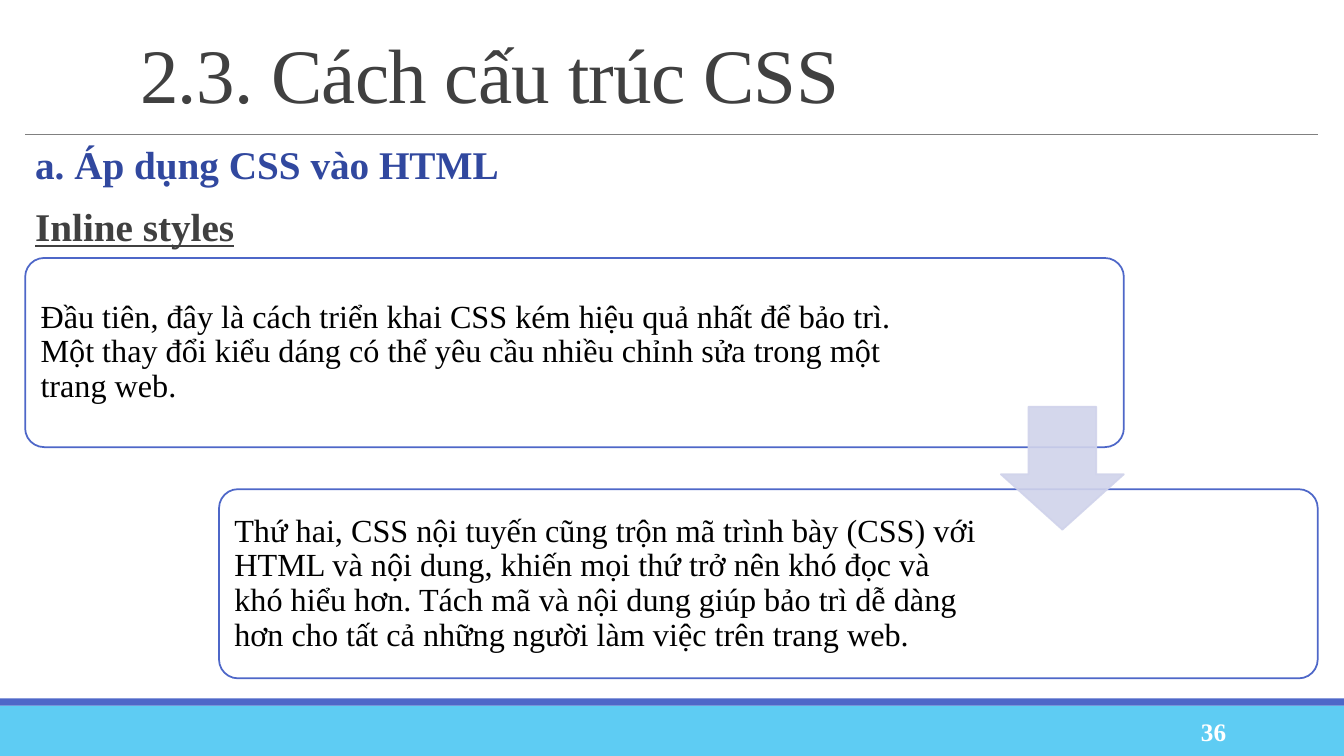
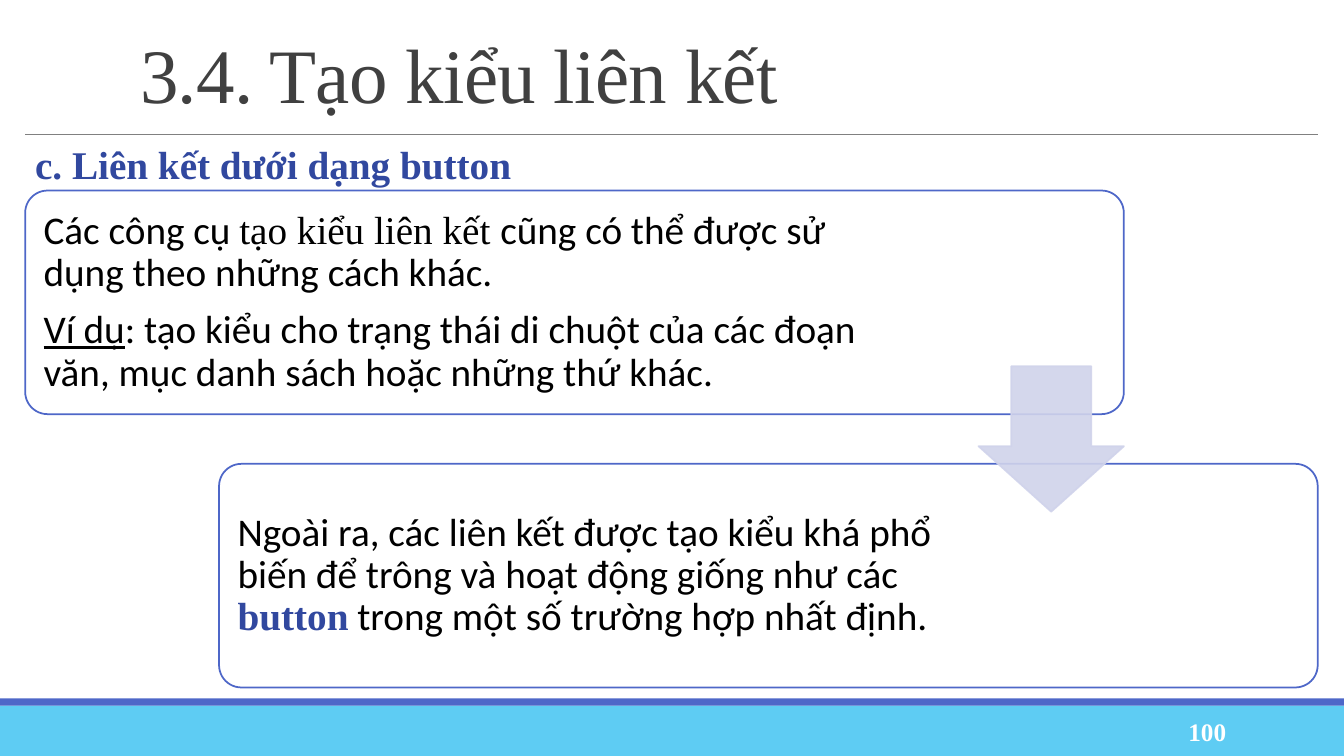
from dataclasses import dataclass

from lxml.etree import SubElement
from pptx import Presentation
from pptx.dml.color import RGBColor
from pptx.enum.shapes import MSO_CONNECTOR as Link, MSO_SHAPE as Form
from pptx.enum.text import MSO_ANCHOR as Anchor, PP_ALIGN as Align
from pptx.oxml.ns import qn
from pptx.util import Inches, Pt


@dataclass(frozen=True)
class Theme:
    serif: str = "Times New Roman"
    sans: str = "Calibri"
    dark: str = "404040"
    navy: str = "31489F"
    blue: str = "4E67C8"
    sky: str = "5ECCF3"
    pale: str = "D0D3EB"
    rule: str = "808080"
    white: str = "FFFFFF"
    black: str = "000000"
    title: int = 55
    head: int = 28
    page: int = 18
    edge: float = 1.25


@dataclass(frozen=True)
class Box:
    x: float
    y: float
    w: float
    h: float

    def slice(self, x, y, w, h):
        return Box(self.x + x * self.w, self.y + y * self.h, w * self.w, h * self.h)

    def place(self):
        return [Inches(v) for v in (self.x, self.y, self.w, self.h)]


@dataclass(frozen=True)
class Span:
    text: str
    font: str = Theme.serif
    color: str = Theme.black
    bold: bool = False
    under: bool = False


T = Theme()
PAGE = Box(0, 0, 13.33, 7.5)
SIDE = 0.25
WIDE = PAGE.w - 2 * SIDE - 0.01
BAND = Box(0, 7, PAGE.w, 0.5)
STRIP = Box(0, 6.93, PAGE.w, 0.07)
TITLE = Box(1.29, 0.31, 11.78, 0.96)
BODY = Box(SIDE, 1.4, WIDE, 5.34)
NUMBER = Box(10.83, 7.06, 1.43, 0.4)
RULE = 1.33


def paint(slide, form, box, fill, line=None, adjust=()):
    shape = slide.shapes.add_shape(form, *box.place())
    shape.shadow.inherit = False
    for i, value in enumerate(adjust):
        shape.adjustments[i] = value
    shape.fill.solid()
    shape.fill.fore_color.rgb = RGBColor.from_string(fill)
    if line:
        shape.line.color.rgb = RGBColor.from_string(line)
        shape.line.width = Pt(T.edge)
    else:
        shape.line.fill.background()
    return shape


def write(slide, box, paras, size, anchor=Anchor.MIDDLE, align=Align.LEFT,
          lead=1.0, gap=0, inset=(0.1, 0.05), track=0):
    frame = slide.shapes.add_textbox(*box.place()).text_frame
    frame.word_wrap = True
    frame.vertical_anchor = anchor
    frame.margin_left = frame.margin_right = Inches(inset[0])
    frame.margin_top = frame.margin_bottom = Inches(inset[1])
    for i, spans in enumerate(paras):
        para = frame.add_paragraph() if i else frame.paragraphs[0]
        para.alignment = align
        para.line_spacing = lead
        if i:
            para.space_before = Pt(gap)
        for span in spans:
            run = para.add_run()
            run.text = span.text
            font = run.font
            font.name, font.size = span.font, Pt(size)
            font.bold, font.underline = span.bold, span.under
            font.color.rgb = RGBColor.from_string(span.color)
            if track:
                run._r.get_or_add_rPr().set("spc", str(int(track * 100)))


def fade(shape, share):
    for color in shape._element.spPr.iter(qn("a:srgbClr")):
        SubElement(color, qn("a:alpha")).set("val", str(share * 1000))


def base(deck, title, number):
    slide = deck.slides.add_slide(deck.slide_layouts[6])
    paint(slide, Form.RECTANGLE, BAND, T.sky)
    paint(slide, Form.RECTANGLE, STRIP, T.blue)
    rule = slide.shapes.add_connector(
        Link.STRAIGHT, Inches(SIDE), Inches(RULE), Inches(SIDE + WIDE), Inches(RULE))
    rule.line.color.rgb = RGBColor.from_string(T.rule)
    rule.line.width = Pt(0.5)
    SubElement(rule._element.spPr, qn("a:effectLst"))
    write(slide, TITLE, [[Span(title, color=T.dark)]], T.title, lead=0.85, track=-0.5)
    write(slide, NUMBER, [[Span(number, color=T.white, bold=True)]], T.page,
          align=Align.RIGHT)
    return slide


def heads(slide, box, paras):
    write(slide, box, paras, T.head, Anchor.TOP, Align.JUSTIFY, 0.9, 14)


def steps(slide, box, cards, size):
    tall = 0.45 * box.h
    side = 0.65 * tall
    pad = 0.03 * tall
    first = box.slice(0, 0, 0.85, 0.45)
    last = box.slice(0.15, 0.55, 0.85, 0.45)
    cuts = 1.04 * tall, 0.15 * box.w + 0.71 * tall
    inset = 0.3 * size / 72
    for card, paras, cut in zip((first, last), cards, cuts):
        paint(slide, Form.ROUNDED_RECTANGLE, card, T.white, T.blue, [0.1])
        area = Box(card.x + pad, card.y + pad, card.w - cut, tall - 2 * pad)
        write(slide, area, paras, size, lead=0.9, gap=0.38 * size, inset=(inset, inset))
    spot = Box(first.x + first.w - side, box.y + (box.h - side) / 2, side, side)
    arrow = paint(slide, Form.DOWN_ARROW, spot, T.pale, T.pale, [0.55, 0.45])
    fade(arrow, 90)


def inline(deck):
    slide = base(deck, "2.3. Cách cấu trúc CSS", "36")
    heads(slide, BODY, [
        [Span("a. Áp dụng CSS vào HTML", color=T.navy, bold=True)],
        [Span("Inline styles", color=T.dark, bold=True, under=True)],
    ])
    steps(slide, Box(SIDE, 2.56, WIDE, 4.17), [
        [[Span("Đầu tiên, đây là cách triển khai CSS kém hiệu quả nhất để bảo trì. "
               "Một thay đổi kiểu dáng có thể yêu cầu nhiều chỉnh sửa trong một "
               "trang web.")]],
        [[Span("Thứ hai, CSS nội tuyến cũng trộn mã trình bày (CSS) với HTML và nội "
               "dung, khiến mọi thứ trở nên khó đọc và khó hiểu hơn. Tách mã và nội "
               "dung giúp bảo trì dễ dàng hơn cho tất cả những người làm việc trên "
               "trang web.")]],
    ], 23)


def button(deck):
    slide = base(deck, "3.4. Tạo kiểu liên kết", "100")
    heads(slide, BODY, [
        [Span("c. Liên kết dưới dạng button", color=T.navy, bold=True)],
    ])
    steps(slide, Box(SIDE, 1.89, WIDE, 4.93), [
        [
            [Span("Các công cụ ", T.sans), Span("tạo kiểu liên kết "),
             Span("cũng có thể được sử dụng theo những cách khác.", T.sans)],
            [Span("Ví dụ", T.sans, under=True),
             Span(": tạo kiểu cho trạng thái di chuột của các đoạn văn, mục danh "
                  "sách hoặc những thứ khác.", T.sans)],
        ],
        [
            [Span("Ngoài ra, các liên kết được tạo kiểu khá phổ biến để trông và "
                  "hoạt động giống như các ", T.sans),
             Span("button", color=T.navy, bold=True),
             Span(" trong một số trường hợp nhất định.", T.sans)],
        ],
    ], 28)


def main():
    deck = Presentation()
    deck.slide_width, deck.slide_height = Inches(PAGE.w), Inches(PAGE.h)
    inline(deck)
    button(deck)
    deck.save("out.pptx")


if __name__ == "__main__":
    main()
